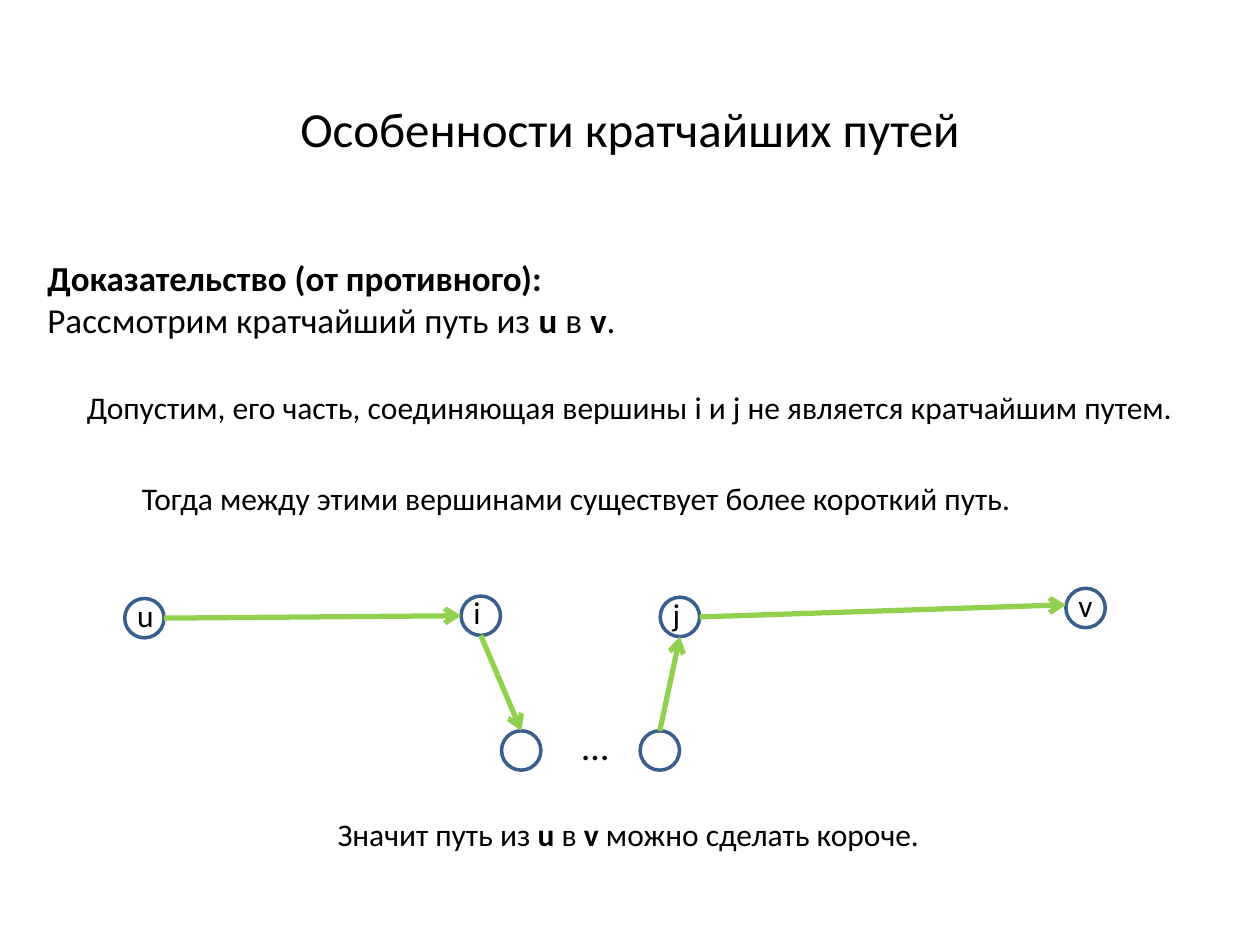
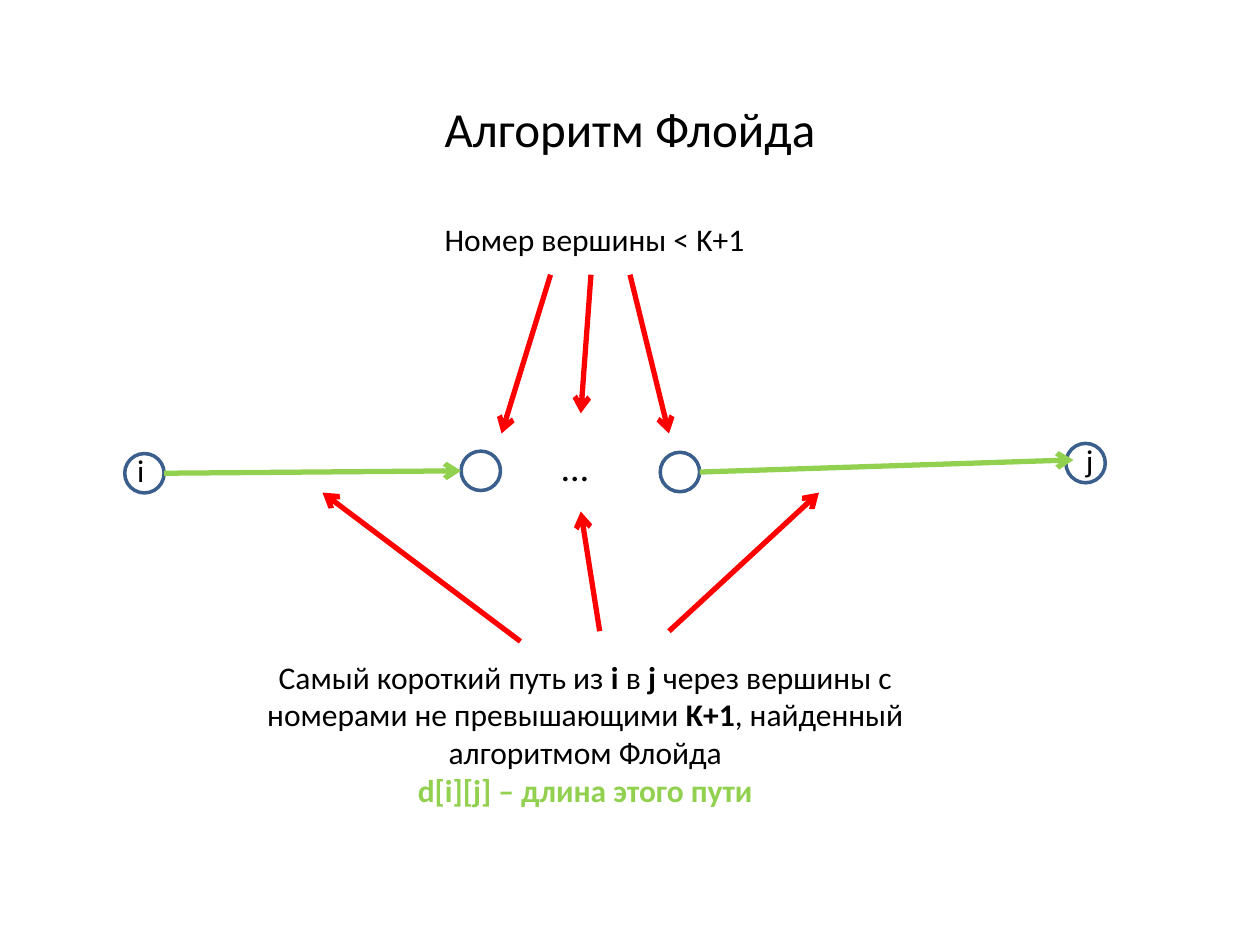
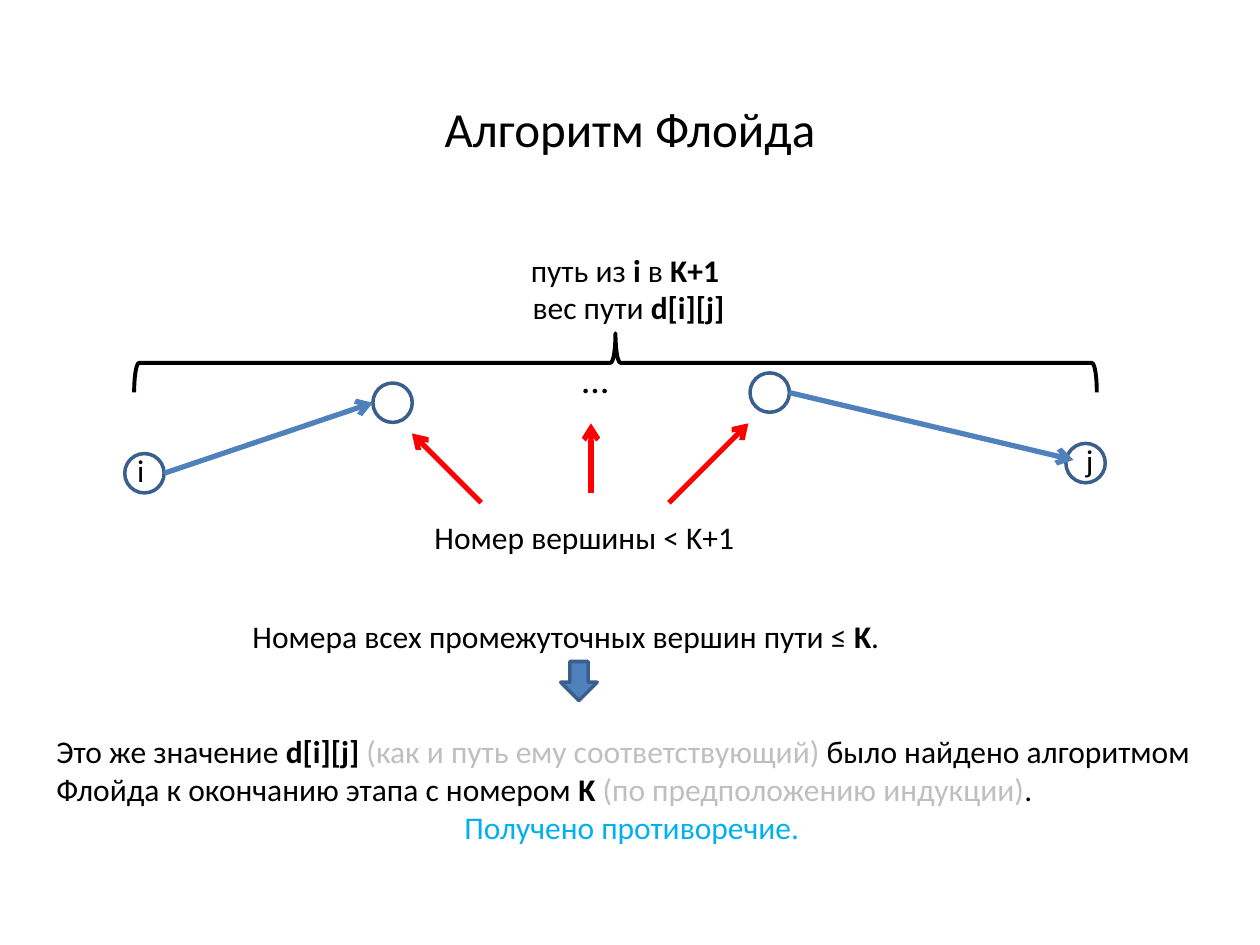
from lxml import etree
from pptx import Presentation
from pptx.dml.color import RGBColor
from pptx.enum import shapes, text
from pptx.oxml import ns
from pptx.util import Pt

# Shared look
FONT = "Calibri"
COLOURS = {"black": "000000", "white": "FFFFFF", "outline": "3A5F8C",
           "green": "92D050", "red": "FF0000", "blue": "4F81BD",
           "grey": "BFBFBF", "cyan": "00B0F0"}
# Run style: colour, bold
STYLES = {"plain": ("black", False), "bold": ("black", True),
          "result": ("green", True), "aside": ("grey", False),
          "conclusion": ("cyan", False)}
TITLE_BOX = (54, 15, 612, 116)
NODE = 22.5
LABEL_RISE = 5
LABEL_BOX = (20, 28.8)
DOTS_BOX = (51, 28)
SIDES = {"left": (0, 0.5), "right": (1, 0.5), "top": (0.5, 0), "bottom": (0.5, 1)}

# Content: nodes are (left, top, label, label shift); edges join node sides;
# pointers run from point to point; texts are (box, layout, paragraphs)
PLAIN_NUMBER = [[("Номер вершины < K+1", "plain")]]
SLIDES = [
    {
        "title": "Особенности кратчайших путей",
        "nodes": {"u": (71.3, 342, "u", 0), "v": (609.1, 336.2, "v", 0),
                  "i": (263.5, 340.6, "i", 0), "j": (377.3, 341.3, "j", 0),
                  "first": (286.6, 417.6, "", 0), "last": (365.8, 417.6, "", 0)},
        "edge_colour": "green",
        "edges": [("u", "right", "i", "left"), ("j", "right", (609.1, 345.6)),
                  ("i", "bottom", "first", "top"), ("last", "top", "j", "bottom")],
        "pointers": [],
        "dots": (314.6, 411.8),
        "texts": [
            ((20, 128, 680, 85), "body", [
                [("Доказательство (от противного):", "bold")],
                [("Рассмотрим кратчайший путь из ", "plain"), ("u ", "bold"),
                 ("в ", "plain"), ("v", "bold"), (".", "plain")]]),
            ((42.5, 218.2, 638, 28.8), "line", [
                [("Допустим, его часть, соединяющая вершины i и j "
                  "не является кратчайшим путем.", "plain")]]),
            ((74, 270, 512, 28.8), "line", [
                [("Тогда между этими вершинами существует "
                  "более короткий путь.", "plain")]]),
            ((185.8, 462.2, 350.6, 28.8), "line", [
                [("Значит путь из ", "plain"), ("u ", "bold"), ("в ", "plain"),
                 ("v ", "bold"), ("можно сделать короче.", "plain")]]),
        ],
    },
    {
        "title": "Алгоритм Флойда",
        "nodes": {"i": (71.3, 259.2, "i", 0), "j": (609.1, 253.4, "j", 4.3),
                  "first": (263.5, 257.8, "", 0), "last": (377.3, 258.5, "", 0)},
        "edge_colour": "green",
        "edges": [("i", "right", "first", "left"), ("last", "right", (613.4, 262.8))],
        "pointers": [((314.6, 157), (286.6, 247.7)), ((337.7, 157), (331.9, 236.2)),
                     ((360, 157), (382.3, 247.7)), ((297.4, 366.5), (184.3, 281.5)),
                     ((342.7, 360.7), (331.9, 292.3)), ((382.3, 360.7), (468, 281.5))],
        "dots": (303.1, 252.7),
        "texts": [
            ((247, 122.4, 188, 28.8), "line", PLAIN_NUMBER),
            ((133.2, 372.2, 402.5, 94.3), "centre", [
                [("Самый короткий путь из ", "plain"), ("i ", "bold"), ("в ", "plain"),
                 ("j ", "bold"),
                 ("через вершины с номерами не превышающими ", "plain"),
                 ("K+1", "bold"), (", найденный алгоритмом Флойда", "plain")],
                [("d[i][j] – длина этого пути", "result")]]),
        ],
    },
    {
        "title": "Алгоритм Флойда",
        "nodes": {"i": (71.3, 259.2, "i", 0), "j": (609.1, 253.4, "j", 4.3),
                  "first": (213.1, 218.9, "", 0), "last": (428.6, 213.1, "", 0)},
        "edge_colour": "blue",
        "edges": [("i", "right", "first", "left"), ("last", "right", (613.4, 262.8))],
        "pointers": [((275, 287.3), (235.4, 247.7)), ((337.7, 281.5), (337.7, 241.9)),
                     ((382.3, 287.3), (427.7, 241.9))],
        "dots": (314.6, 202.3),
        "texts": [
            ((241.2, 292.3, 188, 28.8), "line", PLAIN_NUMBER),
            ((133.2, 349.2, 380.2, 28.8), "centre", [
                [("Номера всех промежуточных вершин пути ≤ ", "plain"),
                 ("K", "bold"), (".", "plain")]]),
            ((25.2, 414.7, 671.8, 72.7), "left", [
                [("Это же значение ", "plain"), ("d[i][j] ", "bold"),
                 ("(как и путь ему соответствующий) ", "aside"),
                 ("было найдено алгоритмом Флойда к окончанию этапа с номером ", "plain"),
                 ("K ", "bold"), ("(по предположению индукции)", "aside"),
                 (".", "plain")],
                [("Получено противоречие.", "conclusion")]]),
            ((275, 139.7, 164.2, 51.1), "centre", [
                [("путь из ", "plain"), ("i ", "bold"), ("в ", "plain"), ("K+1", "bold")],
                [(" вес пути ", "plain"), ("d[i][j]", "bold")]]),
        ],
        "brace": (334.8, -67.7, 33.8, 550.1),
        "down_arrow": (320.4, 378, 20.9, 22.3),
    },
]

# Layout: size, wraps, centred, anchored in the middle
LAYOUTS = {"title": (28, True, True, True), "dots": (21.7, True, True, True),
           "body": (20, True, False, True), "line": (18, False, False, False),
           "left": (18, True, False, False), "centre": (18, True, True, False)}


def colour(name):
    return RGBColor.from_string(COLOURS[name])


def add_text(slide, box, layout, paragraphs):
    size, wraps, centred, middle = LAYOUTS[layout]
    frame = slide.shapes.add_textbox(*map(Pt, box)).text_frame
    frame.word_wrap = wraps
    frame.vertical_anchor = text.MSO_ANCHOR.MIDDLE if middle else text.MSO_ANCHOR.TOP
    if not middle:
        frame.auto_size = text.MSO_AUTO_SIZE.SHAPE_TO_FIT_TEXT
    for index, runs in enumerate(paragraphs):
        paragraph = frame.add_paragraph() if index else frame.paragraphs[0]
        centre_line = centred or runs[0][1] == "conclusion"
        paragraph.alignment = text.PP_ALIGN.CENTER if centre_line else text.PP_ALIGN.LEFT
        for words, style in runs:
            run = paragraph.add_run()
            run.text = words
            run.font.name, run.font.size = FONT, Pt(size)
            run.font.color.rgb = colour(STYLES[style][0])
            run.font.bold = STYLES[style][1]


def add_shape(slide, kind, box, fill, line, width):
    shape = slide.shapes.add_shape(kind, *map(Pt, box))
    shape.shadow.inherit = False
    if fill:
        shape.fill.solid()
        shape.fill.fore_color.rgb = colour(fill)
    else:
        shape.fill.background()
    shape.line.color.rgb = colour(line)
    shape.line.width = Pt(width)
    return shape


def add_arrow(slide, start, end, line_colour):
    connector = slide.shapes.add_connector(
        shapes.MSO_CONNECTOR.STRAIGHT, *map(Pt, (*start, *end)))
    connector.line.color.rgb = colour(line_colour)
    connector.line.width = Pt(3)
    properties = connector._element.spPr
    etree.SubElement(connector.line._get_or_add_ln(), ns.qn("a:tailEnd"), type="arrow")
    etree.SubElement(properties, ns.qn("a:effectLst"))


def side_point(node, side):
    across, down = SIDES[side]
    return node[0] + across * NODE, node[1] + down * NODE


presentation = Presentation()
presentation.slide_width, presentation.slide_height = Pt(720), Pt(540)

for content in SLIDES:
    slide = presentation.slides.add_slide(presentation.slide_layouts[6])
    nodes = content["nodes"]

    # Title and statements
    add_text(slide, TITLE_BOX, "title", [[(content["title"], "plain")]])
    for box, layout, paragraphs in content["texts"]:
        add_text(slide, box, layout, paragraphs)

    # Graph: nodes, edges, labels, ellipsis
    for left, top, label, shift in nodes.values():
        add_shape(slide, shapes.MSO_SHAPE.OVAL, (left, top, NODE, NODE),
                  "white", "outline", 2)
    for source, side, *target in content["edges"]:
        end = target[0] if len(target) == 1 else side_point(nodes[target[0]], target[1])
        add_arrow(slide, side_point(nodes[source], side), end, content["edge_colour"])
    for left, top, label, shift in nodes.values():
        if label:
            add_text(slide, (left + shift, top - LABEL_RISE, *LABEL_BOX), "line",
                     [[(label, "plain")]])
    add_text(slide, (*content["dots"], *DOTS_BOX), "dots", [[("…", "plain")]])

    # Red pointers
    for start, end in content["pointers"]:
        add_arrow(slide, start, end, "red")

    # Brace over the path and the arrow to the conclusion
    if "brace" in content:
        brace = add_shape(slide, shapes.MSO_SHAPE.LEFT_BRACE, content["brace"],
                          None, "black", 2.25)
        brace.rotation = 90
    if "down_arrow" in content:
        add_shape(slide, shapes.MSO_SHAPE.DOWN_ARROW, content["down_arrow"],
                  "blue", "outline", 2)

presentation.save("out.pptx")
